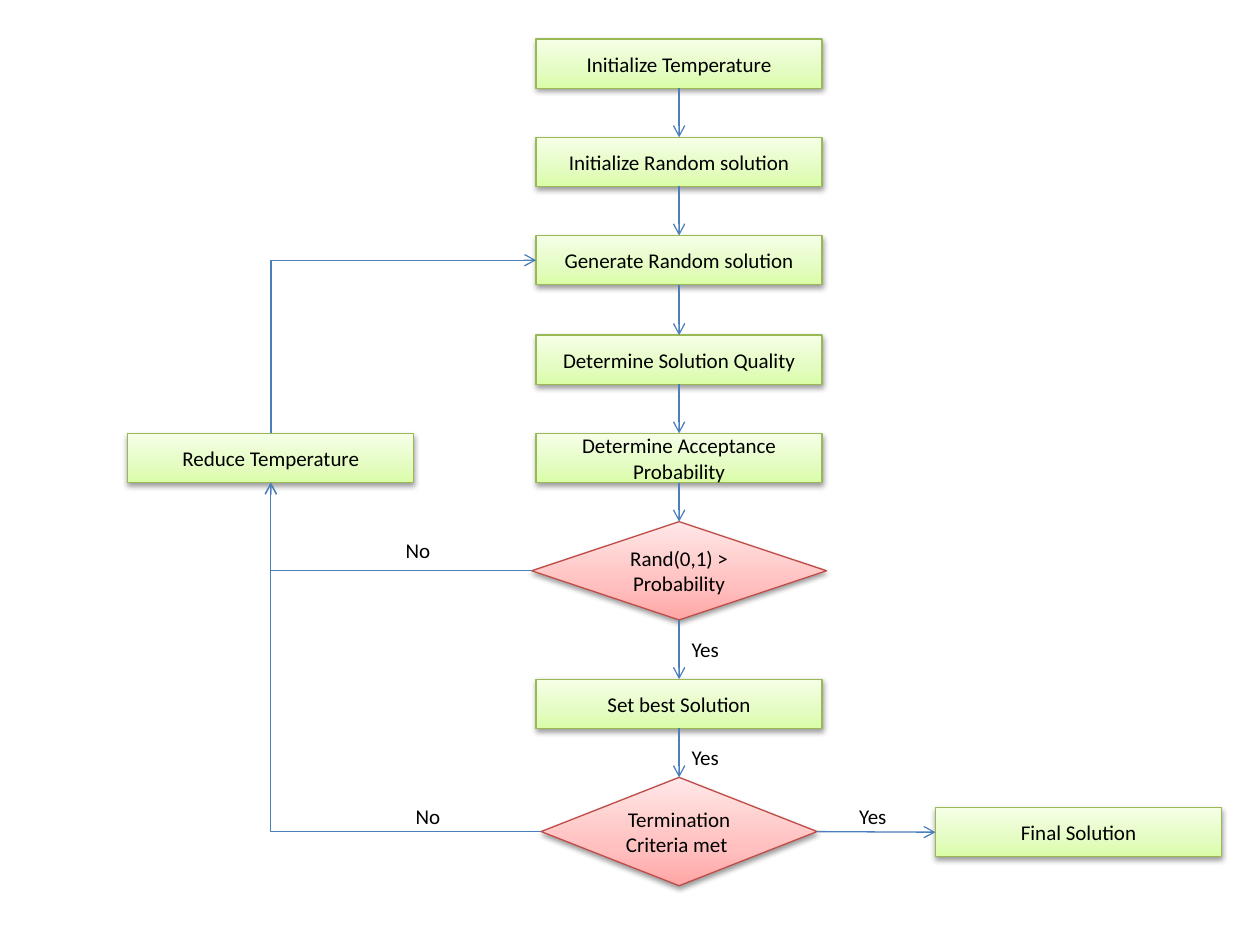
import pptx
import pptx.util
import pptx.dml.color
import pptx.enum.shapes
import pptx.enum.text
import pptx.oxml
import pptx.oxml.ns
from dataclasses import dataclass

Inches = pptx.util.Inches
Pt = pptx.util.Pt
RGB = pptx.dml.color.RGBColor.from_string
MSO = pptx.enum.shapes.MSO_SHAPE
CONN = pptx.enum.shapes.MSO_CONNECTOR
qn = pptx.oxml.ns.qn
NS = pptx.oxml.ns.nsdecls("a")


@dataclass(frozen=True)
class Theme:
    font: str = "Calibri"
    size: int = 12
    text: str = "000000"
    arrow: str = "4B7EBC"
    step_line: str = "98B955"
    step_fill: tuple = ("DAFDA7", "E4FCC2", "F5FFE7")
    test_line: str = "BF4C48"
    test_fill: tuple = ("FFA6A5", "FFC0BF", "FFE7E7")
    line_width: float = 0.75


theme = Theme()


def add_text(tf, text):
    p = tf.paragraphs[0]
    r = p.add_run()
    r.text = text
    r.font.name = theme.font
    r.font.size = Pt(theme.size)
    r.font.color.rgb = RGB(theme.text)
    return p


prs = pptx.Presentation()
prs.slide_width = Inches(10)
prs.slide_height = Inches(7.5)
s = prs.slides.add_slide(prs.slide_layouts[6])

MAIN_X, LOOP_X, FINAL_X = 5.39, 2.15, 8.56
STEP_W, STEP_H = 2.27, 0.39
TOP, BOTTOM, LEFT, RIGHT = 0, 2, 1, 3

nodes = [
    ("temperature", "Initialize Temperature", MAIN_X, 0.31, None),
    ("start", "Initialize Random solution", MAIN_X, 1.09, None),
    ("generate", "Generate Random solution", MAIN_X, 1.87, None),
    ("quality", "Determine Solution Quality", MAIN_X, 2.66, None),
    ("acceptance", "Determine Acceptance Probability", MAIN_X, 3.44, None),
    ("rand", "Rand(0,1) > Probability", MAIN_X, 4.14, (2.34, 0.78)),
    ("best", "Set best Solution", MAIN_X, 5.39, None),
    ("termination", "Termination Criteria met ", MAIN_X, 6.17, (2.19, 0.86)),
    ("final", "Final Solution", FINAL_X, 6.41, None),
    ("reduce", "Reduce Temperature", LOOP_X, 3.44, None),
]

shapes = {}
for key, text, center, top, test_size in nodes:
    w, h = test_size or (STEP_W, STEP_H)
    kind = MSO.FLOWCHART_DECISION if test_size else MSO.RECTANGLE
    colors = theme.test_fill if test_size else theme.step_fill
    sp = s.shapes.add_shape(kind, Inches(center - w / 2), Inches(top), Inches(w), Inches(h))
    sp.line.color.rgb = RGB(theme.test_line if test_size else theme.step_line)
    sp.line.width = Pt(theme.line_width)
    sp.shadow.inherit = False
    stops = "".join(
        f'<a:gs pos="{pos}"><a:srgbClr val="{color}"/></a:gs>'
        for pos, color in zip((0, 35000, 100000), colors)
    )
    sp_pr = sp._element.spPr
    sp_pr.find(qn("a:ln")).addprevious(pptx.oxml.parse_xml(
        f'<a:gradFill {NS} rotWithShape="1"><a:gsLst>{stops}</a:gsLst>'
        '<a:lin ang="16200000" scaled="1"/></a:gradFill>'))
    sp_pr.find(qn("a:effectLst")).append(pptx.oxml.parse_xml(
        f'<a:outerShdw {NS} blurRad="{Pt(3.1)}" dist="{Pt(1.6)}" dir="5400000" rotWithShape="0">'
        '<a:srgbClr val="000000"><a:alpha val="38000"/></a:srgbClr></a:outerShdw>'))
    tf = sp.text_frame
    tf.word_wrap = True
    tf.vertical_anchor = pptx.enum.text.MSO_ANCHOR.MIDDLE
    add_text(tf, text).alignment = pptx.enum.text.PP_ALIGN.CENTER
    shapes[key] = sp

chain = ["temperature", "start", "generate", "quality", "acceptance", "rand", "best", "termination"]
links = [(a, BOTTOM, b, TOP) for a, b in zip(chain, chain[1:])]
links += [
    ("termination", RIGHT, "final", LEFT),
    ("rand", LEFT, "reduce", BOTTOM),
    ("termination", LEFT, "reduce", BOTTOM),
    ("reduce", TOP, "generate", LEFT),
]

for source, out_site, target, in_site in links:
    bent = (out_site + in_site) % 2 == 1
    c = s.shapes.add_connector(CONN.ELBOW if bent else CONN.STRAIGHT, 0, 0, 0, 0)
    c.begin_connect(shapes[source], out_site)
    c.end_connect(shapes[target], in_site)
    c.line.color.rgb = RGB(theme.arrow)
    c.line.width = Pt(theme.line_width)
    sp_pr = c._element.spPr
    sp_pr.find(qn("a:ln")).append(pptx.oxml.parse_xml(f'<a:tailEnd {NS} type="arrow"/>'))
    sp_pr.append(pptx.oxml.parse_xml(f"<a:effectLst {NS}/>"))
    if bent:
        sp_pr.find(qn("a:prstGeom")).set("prst", "bentConnector2")
    if out_site == TOP:
        x, y, w, h = c.left, c.top, c.width, c.height
        c.left, c.top = x + (w - h) // 2, y + (h - w) // 2
        c.width, c.height = h, w
        xfrm = sp_pr.find(qn("a:xfrm"))
        xfrm.set("rot", "16200000")
        xfrm.set("flipV", "0")

labels = [
    ("Yes", 5.39, 5),
    ("Yes", 5.39, 5.86),
    ("Yes", 6.72, 6.33),
    ("No", 3.12, 4.22),
    ("No", 3.2, 6.33),
]
for text, left, top in labels:
    tb = s.shapes.add_textbox(Inches(left), Inches(top), Inches(0.42), Inches(0.3))
    tf = tb.text_frame
    tf.word_wrap = False
    tf.auto_size = pptx.enum.text.MSO_AUTO_SIZE.SHAPE_TO_FIT_TEXT
    add_text(tf, text)

prs.save("out.pptx")
